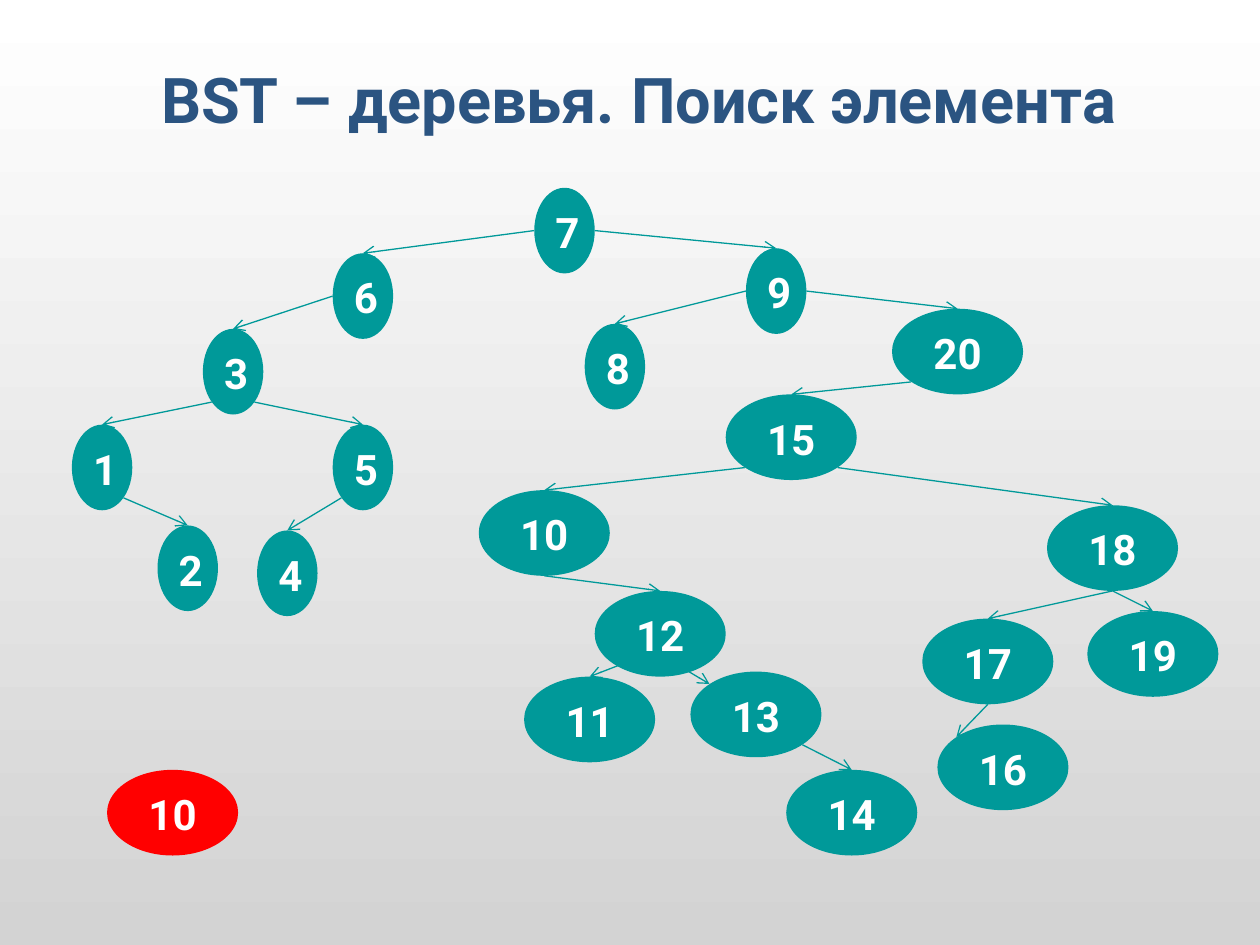
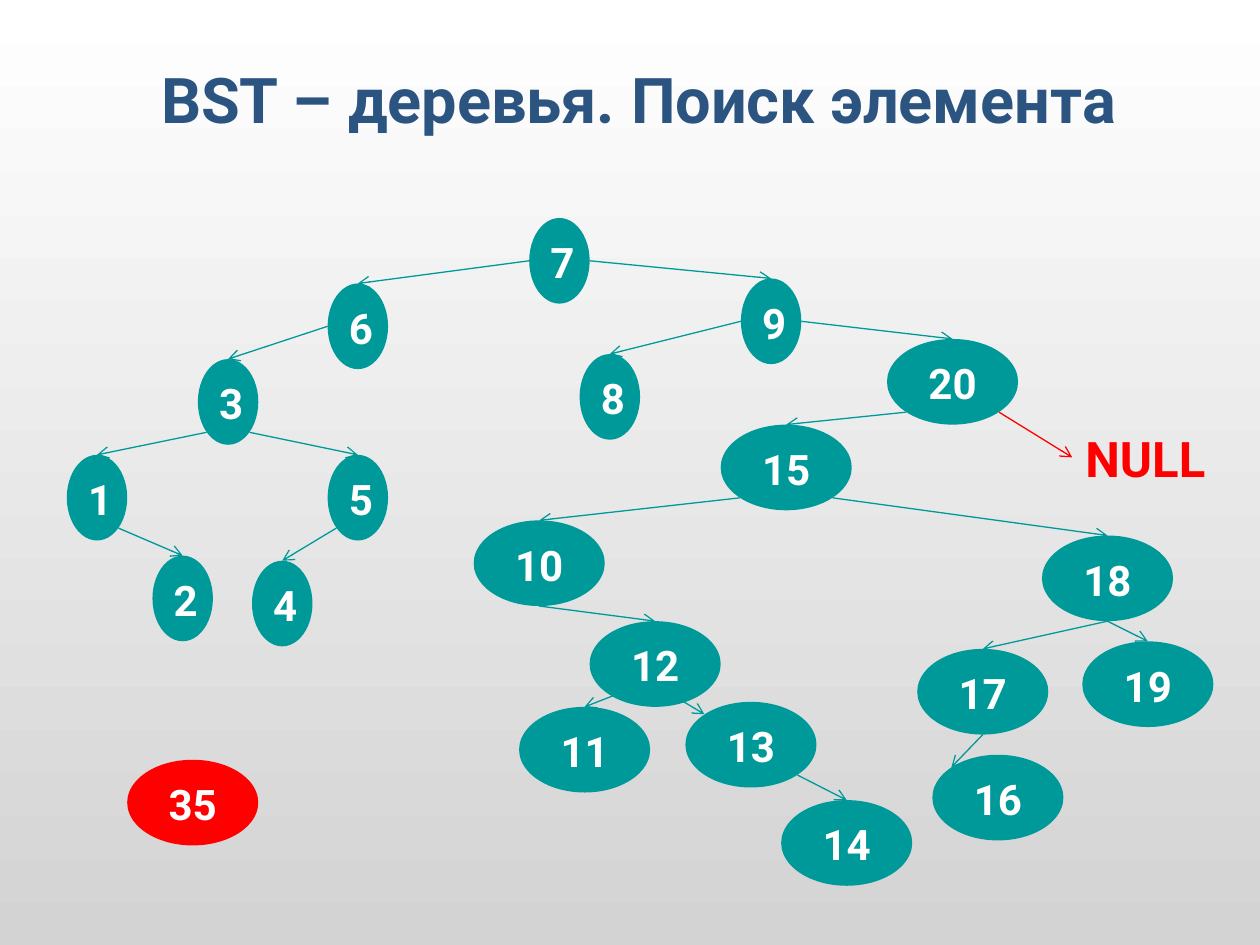
from lxml import etree
from pptx import Presentation
from pptx.dml.color import RGBColor
from pptx.enum.shapes import MSO_CONNECTOR as CONNECTOR, MSO_SHAPE as SHAPE
from pptx.enum.text import MSO_ANCHOR as ANCHOR, MSO_AUTO_SIZE as AUTO_SIZE, PP_ALIGN as ALIGN
from pptx.oxml.ns import qn
from pptx.util import Inches, Pt

COLORS = {"title": "2B5481", "node": "009999", "key": "FF0000", "label": "FFFFFF",
          "bg_top": "FFFFFF", "bg_bottom": "D3D3D3"}
FONT = "Roboto"
TITLE = "BST – деревья. Поиск элемента"

# The slide is a grid of 250 columns by 187.5 rows.
CELL = Inches(10) / 250
NODE_H = 17
DIGIT_W = {1: 12, 2: 26}

# Node centres as (columns, rows) from the root.
NODES = {
    7: (0, 0), 6: (-40, 13), 9: (42, 12), 3: (-65.75, 28), 8: (10, 27),
    20: (78, 24), 1: (-91.75, 47), 5: (-40, 47), 15: (45, 41), 2: (-74.75, 67),
    4: (-55, 68), 10: (-4, 60), 18: (108.75, 63), 12: (19, 80), 17: (84, 85.5),
    19: (116.75, 84), 11: (5, 97), 13: (38, 96), 16: (87, 106.5), 14: (57, 115.5),
}

# Points of an ellipse as shares of its half width and half height.
DIAGONAL = 0.71
SITES = {"top": (0, -1), "bottom": (0, 1), "left": (-1, 0), "right": (1, 0),
         "top left": (-DIAGONAL, -DIAGONAL), "bottom left": (-DIAGONAL, DIAGONAL),
         "bottom right": (DIAGONAL, DIAGONAL), "inside": (-0.08, 0.41)}

EDGES = [
    (7, 6, "left"), (7, 9, "right"), (6, 3, "left"), (9, 8, "left"),
    (9, 20, "right"), (3, 1, "bottom left"), (3, 5, "bottom right"),
    (1, 2, "bottom right"), (5, 4, "bottom left"), (20, 15, "bottom left"),
    (15, 10, "bottom left"), (15, 18, "bottom right"), (10, 12, "bottom"),
    (18, 17, "bottom"), (18, 19, "bottom"), (12, 11, "inside"),
    (12, 13, "inside"), (13, 14, "bottom right"), (17, 16, "bottom"),
]
ENTRY_SITES = {13: "top left", 16: "top left"}


def cells(*values):
    return [round(v * CELL) for v in values]


def rgb(name):
    return RGBColor.from_string(COLORS[name])


def write(tf, text, size, color):
    tf.word_wrap = True
    p = tf.paragraphs[0]
    p.text = text
    p.alignment = ALIGN.CENTER
    p.space_before = Pt(size * 0.2)
    font = p.font
    font.name, font.size, font.bold = FONT, Pt(size), True
    font.color.rgb = rgb(color)


def set_background(master):
    fill = master.background.fill
    fill.gradient()
    fill.gradient_angle = 270
    for stop, position, name in zip(fill.gradient_stops, (0, 1), ("bg_top", "bg_bottom")):
        stop.position = position
        stop.color.rgb = rgb(name)


def add_titled_slide(prs):
    s = prs.slides.add_slide(prs.slide_layouts[5])
    title = s.shapes.title
    title.left, title.top, title.width, title.height = cells(14.25, 5, 225, 29)
    tf = title.text_frame
    tf.auto_size = AUTO_SIZE.NONE
    tf.vertical_anchor = ANCHOR.MIDDLE
    write(tf, TITLE, 36, "title")
    return s


def add_node(s, value, center, color="node"):
    x, y = center
    w = DIGIT_W[len(str(value))]
    sp = s.shapes.add_shape(SHAPE.OVAL, *cells(x - w / 2, y - NODE_H / 2, w, NODE_H))
    sp.shadow.inherit = False
    sp.fill.solid()
    sp.fill.fore_color.rgb = rgb(color)
    sp.line.fill.background()
    sp.text_frame.vertical_anchor = ANCHOR.TOP
    write(sp.text_frame, str(value), 24, "label")


def add_arrow(s, start, end, color="node"):
    line = s.shapes.add_connector(CONNECTOR.STRAIGHT, *cells(*start, *end))
    line.line.width = Pt(0.75)
    line.line.color.rgb = rgb(color)
    etree.SubElement(line.line._get_or_add_ln(), qn("a:tailEnd"), type="arrow")
    etree.SubElement(line._element.spPr, qn("a:effectLst"))


def node_center(root, value):
    dx, dy = NODES[value]
    return root[0] + dx, root[1] + dy


def node_site(root, value, site):
    x, y = node_center(root, value)
    sx, sy = SITES[site]
    return x + sx * DIGIT_W[len(str(value))] / 2, y + sy * NODE_H / 2


def add_tree(s, root):
    for value in NODES:
        add_node(s, value, node_center(root, value))
    for parent, child, site in EDGES:
        add_arrow(s, node_site(root, parent, site),
                  node_site(root, child, ENTRY_SITES.get(child, "top")))


def add_null(s, root):
    """Mark the missing right child of 20, where the search ends."""
    add_arrow(s, node_site(root, 20, "bottom right"), (212.75, 90.75), "key")
    tf = s.shapes.add_textbox(*cells(211.75, 83.75, 31, 14.25)).text_frame
    write(tf, "NULL", 28, "key")


def add_search_slide(prs, root, key, key_center):
    s = add_titled_slide(prs)
    add_tree(s, root)
    add_node(s, key, key_center, "key")
    if key not in NODES:
        add_null(s, root)


def main():
    prs = Presentation()
    prs.slide_width, prs.slide_height = cells(250, 187.5)
    set_background(prs.slide_master)
    add_search_slide(prs, (112, 45.75), 10, (34.25, 161.25))
    add_search_slide(prs, (111, 51.75), 35, (38.25, 159.25))
    prs.save("out.pptx")


if __name__ == "__main__":
    main()
